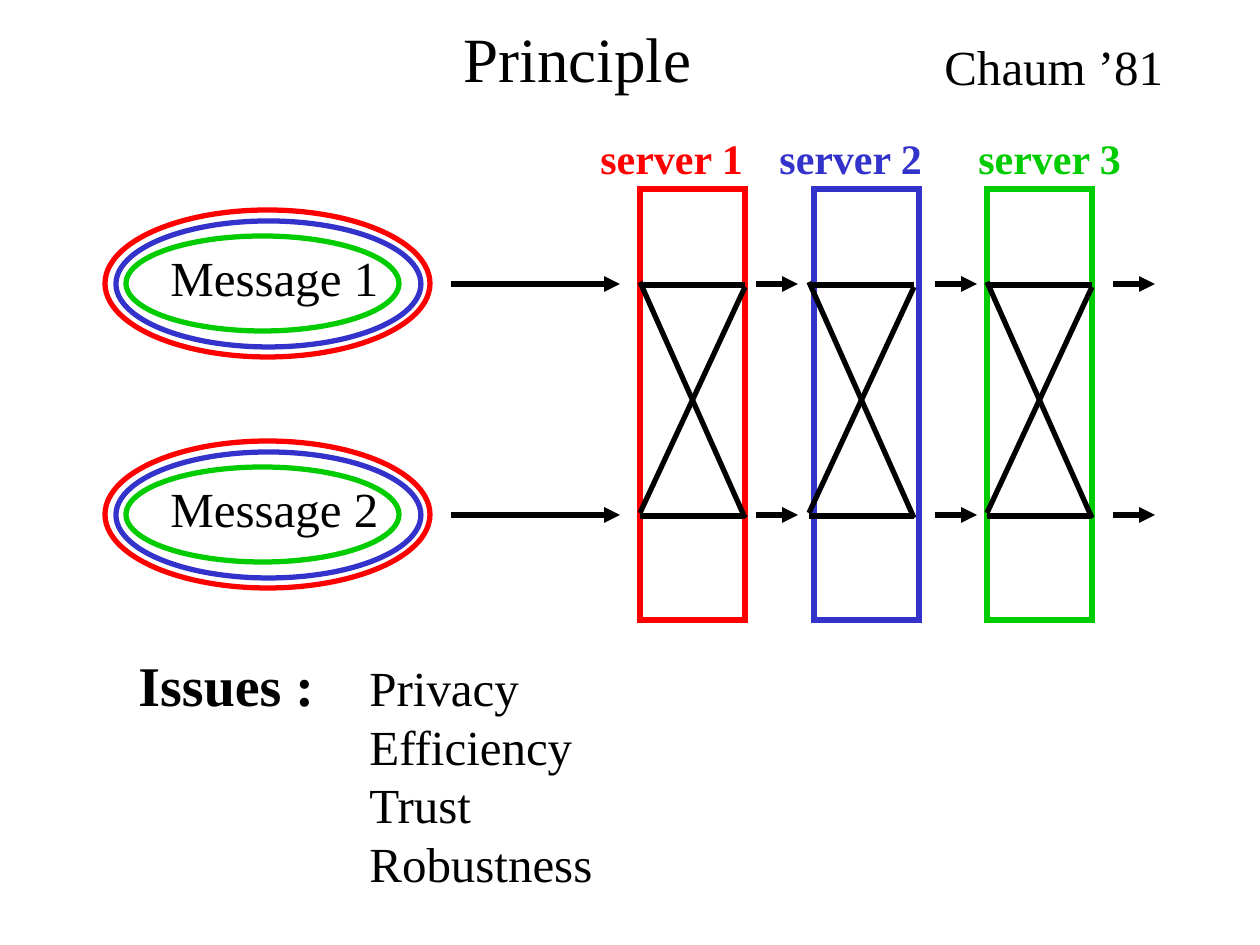
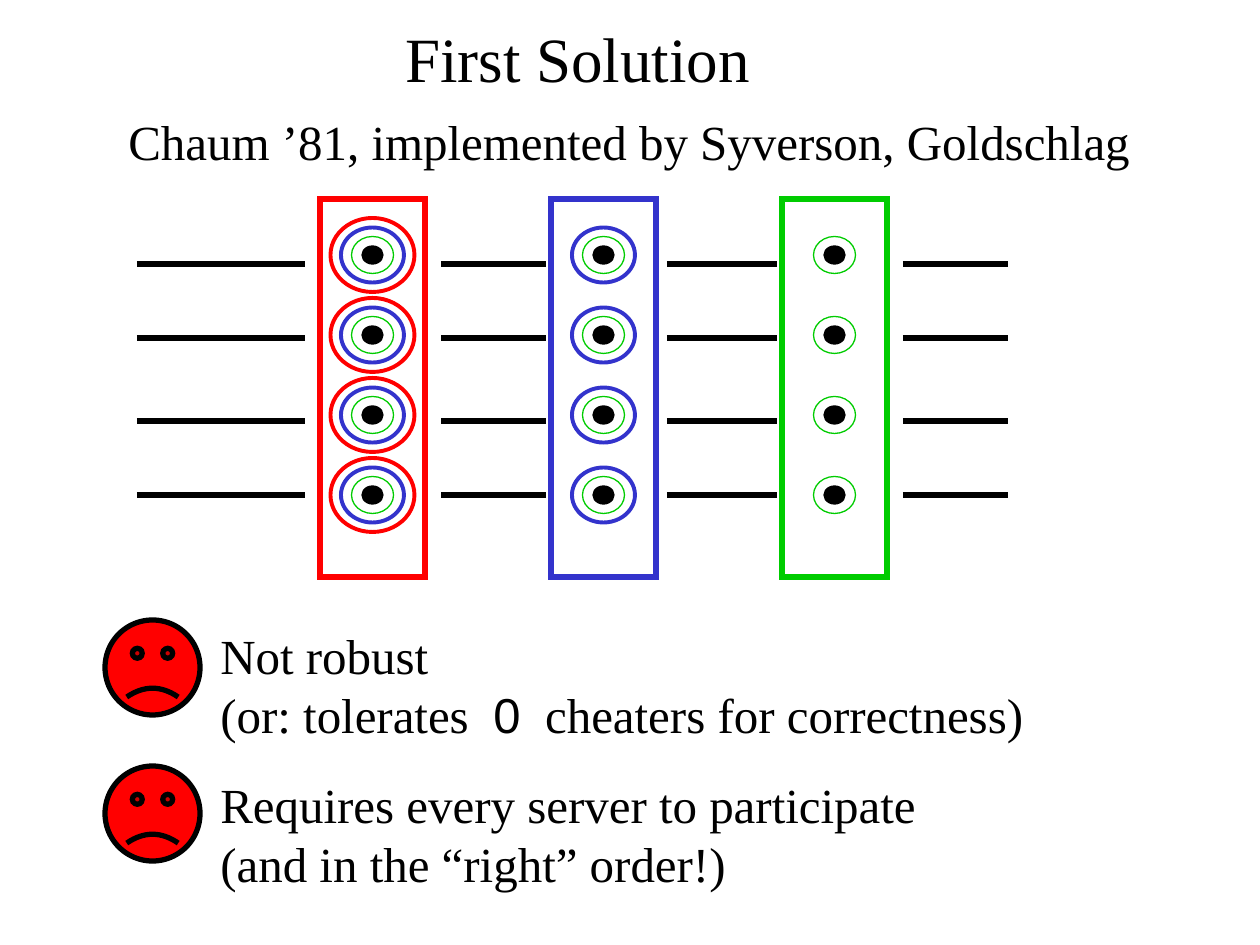
from lxml.etree import SubElement
from pptx import Presentation
from pptx.dml.color import RGBColor
from pptx.enum.shapes import MSO_CONNECTOR, MSO_SHAPE
from pptx.enum.text import MSO_ANCHOR, MSO_AUTO_SIZE, PP_ALIGN
from pptx.oxml.ns import qn
from pptx.util import Inches, Pt

PX = Inches(10) / 1260
WIDTH, HEIGHT = 1260, 945

RED = RGBColor(0xFF, 0x00, 0x00)
BLUE = RGBColor(0x33, 0x33, 0xCC)
GREEN = RGBColor(0x00, 0xCC, 0x00)
BLACK = RGBColor(0x00, 0x00, 0x00)
SERVER_COLORS = (RED, BLUE, GREEN)

SERIF, SANS = "Times New Roman", "Arial"
TITLE = dict(name=SERIF, size=Pt(36))
BODY = dict(name=SERIF, size=Pt(28))
HEADING = dict(name=SERIF, size=Pt(32), bold=True)
LABEL = dict(name=SERIF, size=Pt(24), bold=True)

TITLE_BOX = (42, 0, 1071, 115)
SERVER_W = 105

# Slide 1: messages pass through three mixing servers
MESSAGES = ("Message 1", "Message 2")
MESSAGE_STEP = 231
ENVELOPES = ((105, 210, 325, 147), (116, 221, 305, 126), (126, 236, 273, 95))
MIX_SERVERS = (  # label, label left, box left, crossing left
    ("server 1", 588, 640, 640),
    ("server 2", 767, 814, 809),
    ("server 3", 966, 987, 987),
)
MIX_TOP, MIX_H = 189, 431
ARROWS = ((451, 620), (756, 798), (935, 977), (1113, 1155))
ARROW_Y = 284
CROSSING = ((285, 285), (516, 516), (282, 518), (513, 287))  # left y, right y
ISSUES = ("Privacy", "Efficiency", "Trust", "Robustness")

# Slide 2: each server peels one layer
LAYERS = (  # color, width, height, line width, filled
    (RED, 84, 74, 2.25, False),
    (BLUE, 63, 55, 2.25, False),
    (GREEN, 42, 37, 0.75, False),
    (BLACK, 21, 18, 0.75, True),
)
PEEL_LEFT, PEEL_STEP, PEEL_TOP, PEEL_H = 320, 231, 199, 378
ONION_Y, ONION_STEP, ONION_COUNT = 255, 80, 4
WIRE_SPANS = ((137, 305), (441, 546), (667, 777), (903, 1008))
WIRE_YS = (264, 338, 421, 495)
DRAWBACKS = (
    ("Not robust",),
    ("(or: tolerates  ", ("0", SANS), "  cheaters for correctness)"),
    ("Requires every server to participate",),
    ("(and in the “right” order!)",),
)
SECOND_DRAWBACK = 2
DRAWBACK_GAP = Pt(18)
FACE_LEFT, FACE_SIZE, FACE_TOPS = 105, 95, (620, 766)
FROWN = -0.0465


def emu(*lengths):
    return [round(n * PX) for n in lengths]


def set_font(font, fmt, color=BLACK):
    for name, value in fmt.items():
        setattr(font, name, value)
    font.color.rgb = color


def add_titled_slide(prs, title):
    s = prs.slides.add_slide(prs.slide_layouts[5])
    sp = s.shapes.title
    sp.left, sp.top, sp.width, sp.height = emu(*TITLE_BOX)
    tf = sp.text_frame
    tf.text = title
    tf.auto_size = MSO_AUTO_SIZE.NONE
    tf.vertical_anchor = MSO_ANCHOR.MIDDLE
    p = tf.paragraphs[0]
    p.alignment = PP_ALIGN.CENTER
    set_font(p.runs[0].font, TITLE)
    return s


def add_text(s, box, lines, fmt=BODY, color=BLACK):
    """Each line is a tuple of runs; a run is a text or a (text, font) pair."""
    tf = s.shapes.add_textbox(*emu(*box)).text_frame
    tf.word_wrap = True
    for i, line in enumerate(lines):
        p = tf.paragraphs[0] if i == 0 else tf.add_paragraph()
        for part in line:
            text, name = (part, SERIF) if isinstance(part, str) else part
            r = p.add_run()
            r.text = text
            set_font(r.font, {**fmt, "name": name}, color)
    return tf


def add_outline(s, kind, box, color, width=3, fill=None):
    sp = s.shapes.add_shape(kind, *emu(*box))
    sp.shadow.inherit = False
    sp.line.color.rgb = color
    sp.line.width = Pt(width)
    SubElement(sp.line._get_or_add_ln(), qn("a:miter"), lim="800000")
    if fill is None:
        sp.fill.background()
    else:
        sp.fill.solid()
        sp.fill.fore_color.rgb = fill
    return sp


def add_line(s, x1, y1, x2, y2, arrow=False):
    c = s.shapes.add_connector(MSO_CONNECTOR.STRAIGHT, *emu(x1, y1, x2, y2))
    c.line.color.rgb = BLACK
    c.line.width = Pt(3)
    if arrow:
        SubElement(c.line._get_or_add_ln(), qn("a:tailEnd"), type="triangle")
    SubElement(c._element.spPr, qn("a:effectLst"))


def add_onion(s, cx, cy, layers):
    for color, w, h, width, filled in layers:
        add_outline(s, MSO_SHAPE.OVAL, (cx - w / 2, cy - h / 2, w, h),
                    color, width, color if filled else None)


def build_principle(prs):
    s = add_titled_slide(prs, "Principle")
    add_text(s, (932, 30, 260, 72), [("Chaum ’81",)])
    for i, message in enumerate(MESSAGES):
        dy = i * MESSAGE_STEP
        for color, (x, y, w, h) in zip(SERVER_COLORS, ENVELOPES):
            add_outline(s, MSO_SHAPE.OVAL, (x, y + dy, w, h), color)
        add_text(s, (158, 241 + dy, 245, 72), [(message,)])
        for x1, x2 in ARROWS:
            add_line(s, x1, ARROW_Y + dy, x2, ARROW_Y + dy, arrow=True)
    for color, (label, label_x, box_x, cross_x) in zip(SERVER_COLORS, MIX_SERVERS):
        add_outline(s, MSO_SHAPE.RECTANGLE, (box_x, MIX_TOP, SERVER_W, MIX_H), color)
        for y1, y2 in CROSSING:
            add_line(s, cross_x, y1, cross_x + SERVER_W, y2)
        add_text(s, (label_x, 126, 180, 63), [(label,)], LABEL, color)
    add_text(s, (357, 651, 260, 248), [(issue,) for issue in ISSUES])
    add_text(s, (126, 644, 220, 81), [("Issues :",)], HEADING)


def build_first_solution(prs):
    s = add_titled_slide(prs, "First Solution")
    add_text(s, (116, 105, 1045, 72),
             [("Chaum ’81, implemented by Syverson, Goldschlag",)])
    for y in WIRE_YS:
        for x1, x2 in WIRE_SPANS:
            add_line(s, x1, y, x2, y)
    for i, color in enumerate(SERVER_COLORS):
        x = PEEL_LEFT + i * PEEL_STEP
        add_outline(s, MSO_SHAPE.RECTANGLE, (x, PEEL_TOP, SERVER_W, PEEL_H), color)
        for j in range(ONION_COUNT):
            add_onion(s, x + SERVER_W / 2, ONION_Y + j * ONION_STEP, LAYERS[i:])
    tf = add_text(s, (208, 619, 905, 281), DRAWBACKS)
    tf.paragraphs[SECOND_DRAWBACK].space_before = DRAWBACK_GAP
    for y in FACE_TOPS:
        face = add_outline(s, MSO_SHAPE.SMILEY_FACE,
                           (FACE_LEFT, y, FACE_SIZE, FACE_SIZE), BLACK, fill=RED)
        face.adjustments[0] = FROWN


def main():
    prs = Presentation()
    prs.slide_width, prs.slide_height = emu(WIDTH, HEIGHT)
    build_principle(prs)
    build_first_solution(prs)
    prs.save("out.pptx")


if __name__ == "__main__":
    main()
